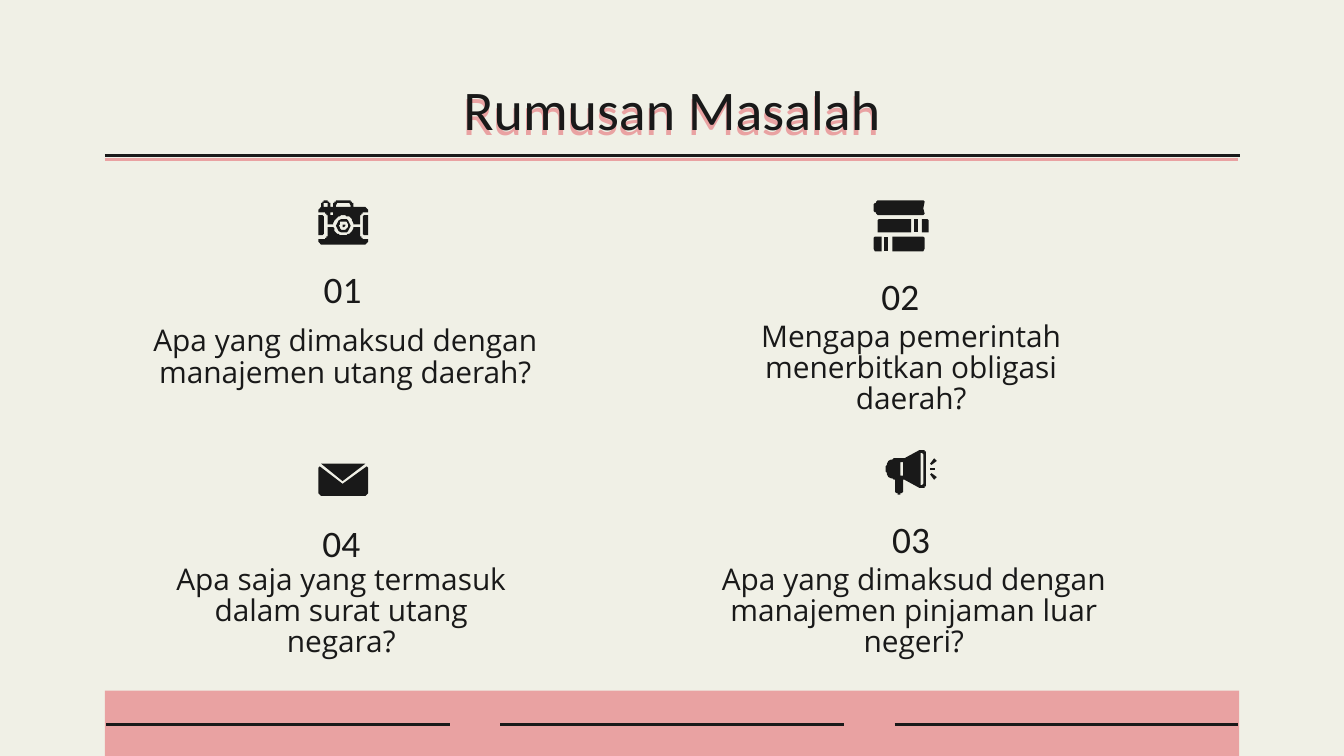
from dataclasses import dataclass
from math import cos, radians, sin

from lxml import etree
from pptx import Presentation
from pptx.dml.color import RGBColor
from pptx.enum.shapes import MSO_CONNECTOR, MSO_SHAPE
from pptx.enum.text import MSO_ANCHOR, MSO_AUTO_SIZE, PP_ALIGN
from pptx.oxml import parse_xml
from pptx.oxml.ns import nsdecls, qn
from pptx.util import Pt

LINE = MSO_CONNECTOR.STRAIGHT
RECT = MSO_SHAPE.RECTANGLE
CENTER = PP_ALIGN.CENTER
MIDDLE = MSO_ANCHOR.MIDDLE
NO_FIT = MSO_AUTO_SIZE.NONE


@dataclass
class Theme:
    paper: RGBColor = RGBColor(0xF0, 0xF0, 0xE6)
    ink: RGBColor = RGBColor(0x19, 0x19, 0x19)
    pink: RGBColor = RGBColor(0xE9, 0xA2, 0xA2)
    head_font: str = "Calibri"
    body_font: str = "Open Sans"
    title_size: int = 30
    number_size: int = 20
    body_size: int = 16
    line_width: float = 1.5


def arc(cx, cy, radius, start=0, end=360):
    """Points along an arc; degrees grow clockwise from the right."""
    steps = 16
    angles = [radians(start + (end - start) * i / steps) for i in range(steps + 1)]
    return [(cx + radius * cos(a), cy + radius * sin(a)) for a in angles]


def write(shape, text, font, size, spacing):
    tf = shape.text_frame
    tf.word_wrap = True
    tf.auto_size = NO_FIT
    tf.vertical_anchor = MIDDLE
    tf.margin_left = tf.margin_right = tf.margin_top = tf.margin_bottom = Pt(7.2)
    p = tf.paragraphs[0]
    p.alignment = CENTER
    p.line_spacing = spacing
    r = p.add_run()
    r.text = text
    r.font.name = font
    r.font.size = Pt(size)
    r.font.color.rgb = theme.ink


theme = Theme()
prs = Presentation()
prs.slide_width, prs.slide_height = Pt(720), Pt(405)
s = prs.slides.add_slide(prs.slide_layouts[5])
s.background.fill.solid()
s.background.fill.fore_color.rgb = theme.paper

# Title with a pink shadow
title = s.shapes.title
title.left, title.top, title.width, title.height = Pt(56.9), Pt(35.3), Pt(606.2), Pt(45.4)
write(title, "Rumusan Masalah", theme.head_font, theme.title_size, 1.0)
title.fill.background()
title._element.spPr.append(parse_xml(
    f'<a:effectLst {nsdecls("a")}><a:outerShdw dist="{Pt(2.5)}" dir="6000000" '
    f'algn="bl" rotWithShape="0"><a:srgbClr val="{theme.pink}"/>'
    '</a:outerShdw></a:effectLst>'))

# Footer band, its dashes and the double rule under the title
band = s.shapes.add_shape(RECT, Pt(56.2), Pt(370), Pt(607.6), Pt(35))
band.shadow.inherit = False
band.fill.solid()
band.fill.fore_color.rgb = theme.pink
band.line.fill.background()

rules = [(56.9 + 211.2 * i, 388, 184, theme.ink) for i in range(3)]
rules += [(56.2, 83.3, 608.2, theme.ink), (56.2, 85.6, 606.8, theme.pink)]
for x, y, width, color in rules:
    rule = s.shapes.add_connector(LINE, Pt(x), Pt(y), Pt(x + width), Pt(y))
    rule.line.color.rgb = color
    rule.line.width = Pt(theme.line_width)
    etree.SubElement(rule._element.spPr, qn("a:effectLst"))

# Numbered questions: number left and top, then question left, top and width
questions = [
    ("01", 92.9, 138.2, "Apa yang dimaksud dengan manajemen utang daerah?", 64.8, 172.8, 240.5),
    ("02", 391.7, 141.8, "Mengapa pemerintah menerbitkan obligasi daerah?", 374.4, 178.6, 227.5),
    ("03", 397.4, 272.2, "Apa yang dimaksud dengan manajemen pinjaman luar negeri?",
     374.4, 308.9, 230.4),
    ("04", 92.2, 274.3, "Apa saja yang termasuk dalam surat utang negara?", 77, 308.9, 211.7),
]
for number, nx, ny, question, qx, qy, qw in questions:
    box = s.shapes.add_textbox(Pt(nx), Pt(ny), Pt(181.4), Pt(33.1))
    write(box, number, theme.head_font, theme.number_size, 1.0)
    box = s.shapes.add_textbox(Pt(qx), Pt(qy), Pt(qw), Pt(38.2))
    write(box, question, theme.body_font, theme.body_size, 0.87)

# Icons: each part is a list of contours, the first one outer, the rest holes
grip = [(0, 11), (3, 11), (4, 12), (4, 25), (3, 26), (0, 26)]
lens = (18.6, 18.8)
camera = [
    [[(0, 9), *arc(3, 13, 4, -90, 0), (7, 18), *arc(*lens, 7.5, 186, 354), (31, 18),
      *arc(35, 13, 4, 180, 270), (37, 9), *arc(34, 8, 3, 0, -90), (26, 5),
      *arc(22.5, 3.5, 3.5, 0, -90), *arc(14.5, 3.5, 3.5, 270, 180), (11, 5), (9, 5),
      *arc(5.5, 3.5, 3.5, 0, -180), (2, 5), *arc(3, 8, 3, 270, 180)],
     [(7, 5), (4, 5), *arc(5.5, 3.5, 1.5, 180, 360)],
     [(13, 5), (13, 4), (14.5, 2), (23, 2), (24, 4), (24, 5)],
     arc(10, 10, 1)],
    [grip],
    [[(37 - x, y) for x, y in grip]],
    [arc(*lens, 5.3), arc(*lens, 3.3)],
    [arc(*lens, 1)],
    [[(7, 20), *arc(3, 25, 4, 0, 90), (0, 29), *arc(3, 30, 3, 180, 90),
      *arc(34, 30, 3, 90, 0), (37, 29), *arc(35, 25, 4, 90, 180), (31, 20),
      *arc(*lens, 7.5, 10, 170)]],
]
books = [
    [[*arc(5.5, 5.5, 5.5, 90, 270), (37, 0), (38, 1), (37, 5.5), (38, 10), (37, 11)]],
    [[(4, 14), (28, 14), (28, 24.5), (4, 24.5), (3, 23.5), (3, 15)]],
    [[(30, 14), (33, 14), (33, 24.5), (30, 24.5)]],
    [[(36, 14), (40, 14), (41, 15), (41, 23.5), (40, 24.5), (36, 24.5)]],
    [[(1, 27), (6, 27), (6, 37.5), (1, 37.5), (0, 36.5), (0, 28)]],
    [[(8, 27), (11, 27), (11, 37.5), (8, 37.5)]],
    [[(14, 27), (37, 27), (38, 28), (38, 36.5), (37, 37.5), (14, 37.5)]],
]
megaphone = [
    [[(25, 0), (14, 6), *arc(8, 14, 8, 270, 90), (7, 22), *arc(10, 29.5, 3.2, 180, 0),
      (13, 22), (14, 22), (25, 28), *arc(27.5, 25, 3, 90, 0), *arc(27.5, 3, 3, 0, -90)],
     [(11, 9), (13, 9), (13, 19), (11, 19)],
     [(26, 2), (27, 2), (28, 3), (28, 25), (27, 26), (26, 26)]],
    [[(33, 13), (37, 13), (37, 15), (33, 15)]],
    [[(33, 9.5), (36, 6), (37.5, 7.5), (34.5, 11)]],
    [[(34.5, 17), (37.5, 20.5), (36, 22), (33, 18.5)]],
]
envelope = [
    [[(1, 2), (18.5, 15), (36, 2), (37, 3), *arc(34, 21, 3, 0, 90), *arc(3, 21, 3, 90, 180),
      (0, 3)]],
    [[(2, 0), (35, 0), (18.5, 13)]],
]
icon_unit = Pt(0.72)
icons = [(camera, 170.6, 107.3), (books, 468, 107.3),
         (megaphone, 474.5, 241.2), (envelope, 170.6, 248.4)]
for icon, x, y in icons:
    parts = []
    for contours in icon:
        outer, *holes = contours
        fb = s.shapes.build_freeform(*outer[0], scale=icon_unit)
        fb.add_line_segments(outer[1:])
        for hole in holes:
            fb.move_to(*hole[0])
            fb.add_line_segments(hole[1:])
        part = fb.convert_to_shape(Pt(x), Pt(y))
        part.shadow.inherit = False
        part.fill.solid()
        part.fill.fore_color.rgb = theme.ink
        part.line.fill.background()
        parts.append(part)
    s.shapes.add_group_shape(parts)

prs.save("out.pptx")
